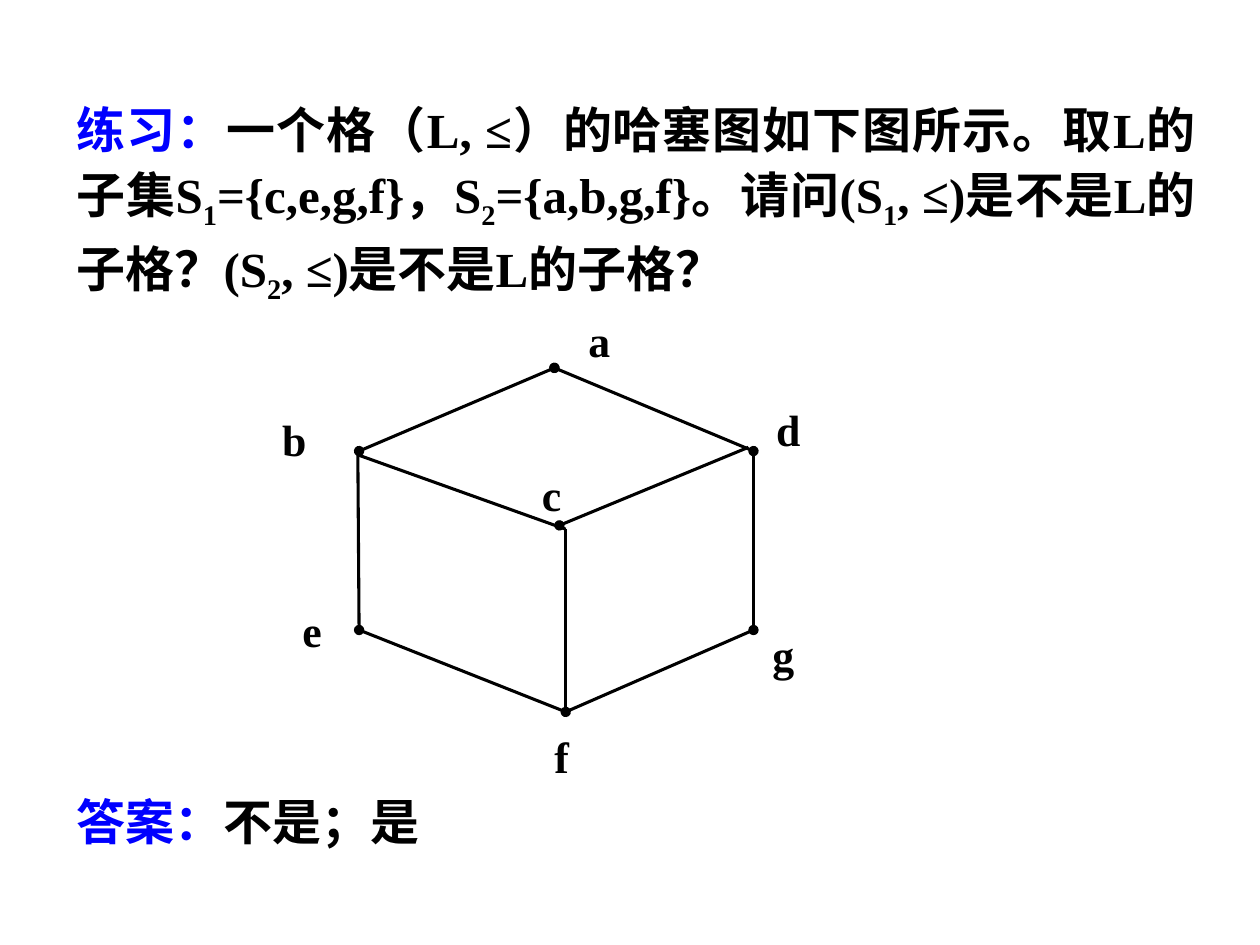
from lxml import etree
from pptx import Presentation
from pptx.dml.color import RGBColor
from pptx.enum.shapes import MSO_CONNECTOR
from pptx.enum.text import MSO_ANCHOR, MSO_AUTO_SIZE, PP_ALIGN
from pptx.oxml.ns import qn
from pptx.util import Inches, Pt

BLUE = RGBColor(0x00, 0x00, 0xFF)
BLACK = RGBColor(0x00, 0x00, 0x00)
LATIN_FONT = "Times New Roman"
CHINESE_FONT = "Noto Sans CJK SC"
STRAIGHT = MSO_CONNECTOR.STRAIGHT
JUSTIFY = PP_ALIGN.JUSTIFY
TOP = MSO_ANCHOR.TOP
NO_AUTOFIT = MSO_AUTO_SIZE.NONE


def add_span(para, text, size, color=BLACK, subscript=False):
    span = para.add_run()
    span.text = text
    span.font.size = Pt(size)
    span.font.bold = True
    span.font.color.rgb = color
    span.font.name = LATIN_FONT
    properties = span.font._element
    etree.SubElement(properties, qn("a:ea")).set("typeface", CHINESE_FONT)
    if subscript:
        properties.set("baseline", "-25000")


deck = Presentation()
deck.slide_width = Inches(10)
deck.slide_height = Inches(7.5)
slide = deck.slides.add_slide(deck.slide_layouts[1])
title = slide.shapes.title._element
title.getparent().remove(title)

# Question and answer
body = slide.placeholders[1]
body.left, body.top = Inches(0.51), Inches(0.69)
body.width, body.height = Inches(9.08), Inches(6.37)
frame = body.text_frame
frame.word_wrap = True
frame.auto_size = NO_AUTOFIT
frame.vertical_anchor = TOP

question = frame.paragraphs[0]
answer = frame.add_paragraph()
for para, line_spacing, space_before in ((question, 1.1, 0), (answer, 0.9, 282)):
    para.alignment = JUSTIFY
    para.line_spacing = line_spacing
    para.space_before = Pt(space_before)
    properties = para._p.get_or_add_pPr()
    properties.set("marL", "0")
    properties.set("indent", "0")
    etree.SubElement(properties, qn("a:buNone"))

add_span(question, "练习：", 28, BLUE)
question_parts = [
    "一个格（L, ≤）的哈塞图如下图所示。取L的子集S", "1",
    "={c,e,g,f}，S", "2",
    "={a,b,g,f}。请问(S", "1",
    ", ≤)是不是L的子格？(S", "2",
    ", ≤)是不是L的子格？",
]
for index, text in enumerate(question_parts):
    add_span(question, text, 28, subscript=index % 2 == 1)
add_span(answer, "答案：", 28, BLUE)
add_span(answer, "不是；是", 28)

# Hasse diagram edges: start, end, ends that carry a dot
diagram = slide.shapes.add_group_shape()
edges = [
    ((4.4, 2.92), (2.85, 3.58), ("headEnd", "tailEnd")),
    ((4.4, 2.92), (5.98, 3.58), ("headEnd", "tailEnd")),
    ((2.85, 5), (4.49, 5.65), ("tailEnd",)),
    ((5.98, 3.61), (5.98, 5), ("tailEnd",)),
    ((2.84, 3.61), (4.49, 4.2), ()),
    ((4.44, 4.17), (5.94, 3.55), ("headEnd",)),
    ((2.84, 3.58), (2.85, 5), ("tailEnd",)),
    ((4.49, 4.2), (4.49, 5.65), ()),
    ((4.49, 5.65), (5.98, 5), ()),
]
for start, end, dots in edges:
    edge = diagram.shapes.add_connector(
        STRAIGHT, *[Inches(value) for value in start + end])
    edge.line.color.rgb = BLACK
    edge.line.width = Pt(1.75)
    for dot in dots:
        etree.SubElement(edge.line._get_or_add_ln(), qn("a:" + dot)).set("type", "oval")
    etree.SubElement(edge._element.spPr, qn("a:effectLst"))

# Vertex labels: left, top, width, height
labels = {
    "a": (4.67, 2.49, 0.48, 0.69),
    "b": (2.24, 3.28, 0.57, 0.57),
    "c": (4.3, 3.71, 0.45, 0.56),
    "d": (6.16, 3.2, 0.57, 0.62),
    "e": (2.4, 4.79, 0.45, 0.56),
    "f": (4.4, 5.79, 0.45, 0.56),
    "g": (6.13, 4.98, 0.45, 0.56),
}
for name, bounds in labels.items():
    box = diagram.shapes.add_textbox(*[Inches(value) for value in bounds])
    frame = box.text_frame
    frame.word_wrap = True
    frame.margin_left = frame.margin_right = 0
    frame.margin_top = frame.margin_bottom = 0
    add_span(frame.paragraphs[0], name, 25)

deck.save("out.pptx")
